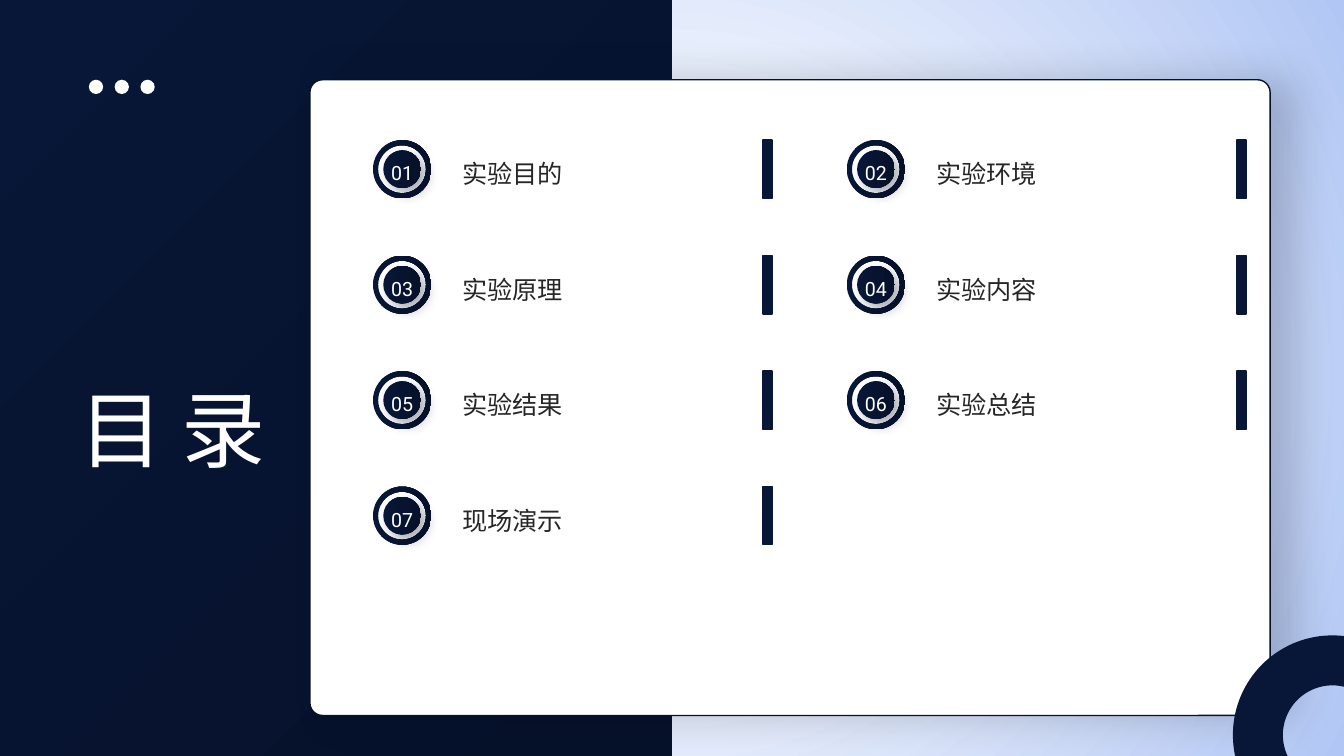
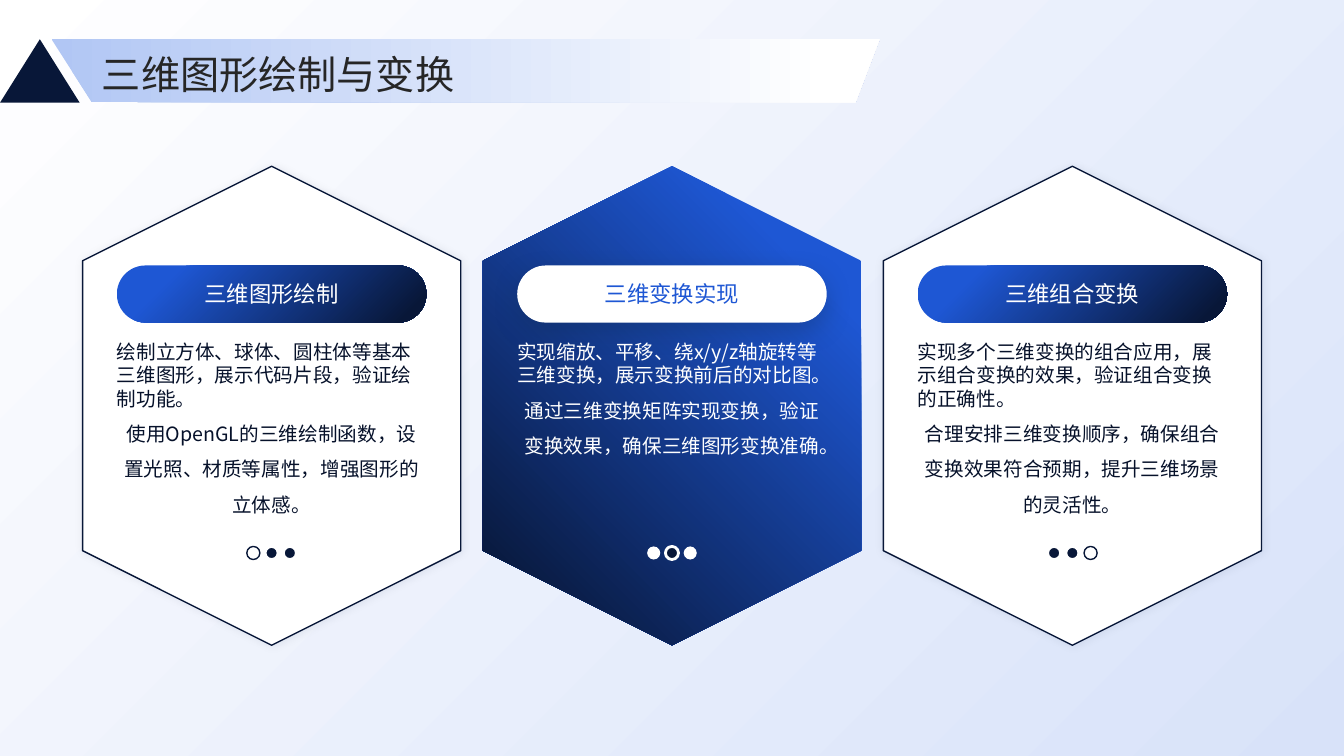
from math import acos, asin, cos, pi, sin

from lxml.etree import SubElement
from pptx import Presentation
from pptx.dml.color import RGBColor
from pptx.enum.shapes import MSO_SHAPE as Preset
from pptx.enum.text import MSO_ANCHOR as Anchor, PP_ALIGN as Align
from pptx.oxml.ns import qn
from pptx.util import Cm, Pt

WIDTH, HEIGHT = 33.87, 19.05
NAVY, INK, BLUE, SKY = "081738", "06112A", "1E57D4", "B1C6F4"
WHITE, CHARCOAL = "FFFFFF", "262626"
CJK, LATIN = "Noto Sans CJK SC", "Roboto"
PAPER = dict(stops=((0, WHITE), (1, "D8E2F9")), angle=45)
GLOW = dict(stops=((0.18, WHITE), (1, SKY)), radial=True)
PANEL = dict(stops=((0, NAVY), (1, INK)), angle=45)
BADGE = dict(stops=((0, NAVY), (1, INK)))
ROYAL = dict(stops=((0.18, BLUE), (0.93, NAVY)), angle=45)
BANNER = dict(stops=((0, SKY), (0.94, WHITE)))


def color(code):
    """Turn a hex string into a colour."""
    return RGBColor.from_string(code)


def write(frame, text, size=14, ink=WHITE, font=CJK, align=Align.CENTER,
          spacing=1.0, anchor=Anchor.MIDDLE):
    """Add one formatted paragraph to a text frame."""
    frame.word_wrap = True
    frame.vertical_anchor = anchor
    frame.margin_left = frame.margin_right = 0
    frame.margin_top = frame.margin_bottom = 0
    paragraph = frame.paragraphs[0] if not frame.text else frame.add_paragraph()
    paragraph.alignment, paragraph.line_spacing = align, spacing
    run = paragraph.add_run()
    run.text = text
    run.font.size, run.font.name = Pt(size), font
    run.font.color.rgb = color(ink)
    SubElement(run.font._element, qn("a:ea"), typeface=CJK)


class Deck:
    """Hold the shared style and the current slide."""

    def __init__(self):
        """Start a widescreen deck."""
        self.show = Presentation()
        self.show.slide_width, self.show.slide_height = Cm(WIDTH), Cm(HEIGHT)

    def new_slide(self):
        """Open a slide with the shared background."""
        self.slide = self.show.slides.add_slide(self.show.slide_layouts[6])
        self.shape(Preset.RECTANGLE, 0, 0, WIDTH, HEIGHT, PAPER)

    def gradient(self, shape, stops, angle=0, radial=False):
        """Fill a shape with a two-stop gradient."""
        shape.fill.gradient()
        for stop, (position, code) in zip(shape.fill.gradient_stops, stops):
            stop.position, stop.color.rgb = position, color(code)
        shape.fill.gradient_angle = -angle % 360
        if radial:
            grad = shape._element.spPr.find(qn("a:gradFill"))
            grad.remove(grad.find(qn("a:lin")))
            circle = SubElement(grad, qn("a:path"), path="circle")
            SubElement(circle, qn("a:fillToRect"),
                       {side: "50000" for side in "ltrb"})

    def paint(self, shape, fill=None, line=None, weight=1, shadow=None):
        """Set fill, outline and shadow."""
        if isinstance(fill, dict):
            self.gradient(shape, **fill)
        elif fill:
            shape.fill.solid()
            shape.fill.fore_color.rgb = color(fill)
        else:
            shape.fill.background()
        if line:
            shape.line.color.rgb, shape.line.width = color(line), Pt(weight)
        else:
            shape.line.fill.background()
        shape.shadow.inherit = False
        if shadow:
            code, alpha, blur, distance, angle = shadow
            effects = shape._element.spPr.find(qn("a:effectLst"))
            outer = SubElement(
                effects, qn("a:outerShdw"), blurRad=str(Pt(blur)),
                dist=str(Pt(distance)), dir=str(angle * 60000), rotWithShape="0")
            tint = SubElement(outer, qn("a:srgbClr"), val=code)
            SubElement(tint, qn("a:alpha"), val=str(alpha * 1000))
        return shape

    def shape(self, preset, x, y, w, h, fill=None, adjust=None, **look):
        """Add a preset shape."""
        shape = self.slide.shapes.add_shape(preset, Cm(x), Cm(y), Cm(w), Cm(h))
        if adjust is not None:
            shape.adjustments[0] = adjust
        return self.paint(shape, fill, **look)

    def outline(self, points, fill):
        """Add a closed freeform."""
        corners = [(Cm(x), Cm(y)) for x, y in points]
        builder = self.slide.shapes.build_freeform(*corners[0])
        builder.add_line_segments(corners[1:])
        return self.paint(builder.convert_to_shape(), fill)

    def text(self, x, y, w, h, text, **style):
        """Add a text box and return its frame."""
        frame = self.slide.shapes.add_textbox(Cm(x), Cm(y), Cm(w), Cm(h)).text_frame
        write(frame, text, **style)
        return frame

    def corner_ring(self, x, y, outer, inner, steps=40):
        """Draw a ring cut off by the right and bottom slide edges."""
        def arc(radius):
            """List the points of one visible arc."""
            first = pi + asin((HEIGHT - y) / radius)
            last = acos((WIDTH - x) / radius)
            angles = [first + (last - first) * i / steps for i in range(steps + 1)]
            return [(x + radius * cos(a), y - radius * sin(a)) for a in angles]
        self.outline(arc(outer) + arc(inner)[::-1], NAVY)

    def agenda_item(self, x, y, number, topic):
        """Add a numbered badge, its topic and the end bar."""
        size = 1.47
        self.shape(Preset.RECTANGLE, x + 9.83, y, 0.23, size, NAVY, line=NAVY)
        self.shape(Preset.DONUT, x, y, size, size, BADGE, adjust=0.09)
        disc = self.shape(Preset.OVAL, x + 0.26, y + 0.26, 0.95, 0.95, BADGE,
                          shadow=(INK, 33, 9, 6, 45))
        write(disc.text_frame, f"{number:02}", font=LATIN, spacing=1.3)
        self.text(x + 2.25, y, 7.24, size, topic, size=18, ink=CHARCOAL,
                  font=LATIN, align=Align.LEFT, spacing=1.3)

    def heading(self, title):
        """Add the title banner."""
        self.shape(Preset.ISOSCELES_TRIANGLE, 0, 0.99, 2.01, 1.6, NAVY)
        self.outline([(2.31, 2.57), (1.3, 0.99), (22.17, 0.99), (21.56, 2.59)],
                     BANNER)
        self.text(2.57, 1.14, 29.26, 1.3, title, size=28, ink=CHARCOAL,
                  align=Align.LEFT, spacing=1.1)

    def hexagon_card(self, center, position, topic, summary, detail, featured):
        """Add a hexagon with a pill title, a body and pager dots."""
        if featured:
            card, pill, pill_ink, body_ink = dict(fill=ROYAL), WHITE, BLUE, WHITE
            pill_shadow = ("0E2841", 28, 19, 6, 90)
            active = dict(fill=NAVY, line=WHITE, weight=2)
            idle = dict(fill=WHITE)
        else:
            card = dict(fill=WHITE, line=NAVY, shadow=(NAVY, 8, 5.6, 0, 0))
            pill, pill_ink, body_ink, pill_shadow = ROYAL, WHITE, INK, None
            active = dict(line=NAVY)
            idle = dict(fill=NAVY, line=WHITE, weight=2)
        long, short, column = 12.07, 9.53, 7.8
        left = center - column / 2
        self.shape(Preset.HEXAGON, center - long / 2, 5.46, long, short,
                   **card).rotation = 90
        label = self.shape(Preset.ROUNDED_RECTANGLE, left, 6.69, column, 1.44,
                           pill, adjust=0.5, shadow=pill_shadow)
        write(label.text_frame, topic, size=16, ink=pill_ink)
        body = self.text(left, 8.56, column, 4.8, summary, ink=body_ink,
                         align=Align.LEFT, anchor=Anchor.TOP)
        write(body, detail, ink=body_ink, spacing=1.5, anchor=Anchor.TOP)
        dot, step = 0.33, 0.46
        for i in range(3):
            self.shape(Preset.OVAL, center + (i - 1) * step - dot / 2, 13.77,
                       dot, dot, **(active if i == position else idle))


def agenda(deck):
    """Build the contents slide."""
    deck.new_slide()
    deck.shape(Preset.RECTANGLE, 0, 0, WIDTH, HEIGHT, GLOW)
    deck.shape(Preset.RECTANGLE, 0, 0, WIDTH / 2, HEIGHT, PANEL)
    deck.shape(Preset.ROUNDED_RECTANGLE, 7.81, 2.01, 24.2, 16.02, WHITE,
               adjust=0.02, line=INK, shadow=("040B1C", 20, 31, 18, 0))
    deck.text(1.27, 8.74, 6.15, 2.74, "目 录", size=60, font=LATIN,
              spacing=1.3, anchor=Anchor.TOP)
    for i in range(3):
        deck.shape(Preset.OVAL, 2.24 + 0.65 * i, 2.01, 0.36, 0.36, WHITE)
    deck.corner_ring(33.58, 18.52, 2.51, 1.25)
    topics = ["实验目的", "实验环境", "实验原理", "实验内容", "实验结果",
              "实验总结", "现场演示"]
    for i, topic in enumerate(topics):
        row, column = divmod(i, 2)
        deck.agenda_item(9.4 + 11.94 * column, 3.53 + 2.91 * row, i + 1, topic)


def transforms(deck):
    """Build the slide on drawing and transforming solids."""
    deck.new_slide()
    cards = [
        ("三维图形绘制",
         "绘制立方体、球体、圆柱体等基本三维图形，展示代码片段，验证绘制功能。",
         "使用OpenGL的三维绘制函数，设置光照、材质等属性，增强图形的立体感。"),
        ("三维变换实现",
         "实现缩放、平移、绕x/y/z轴旋转等三维变换，展示变换前后的对比图。",
         "通过三维变换矩阵实现变换，验证变换效果，确保三维图形变换准确。"),
        ("三维组合变换",
         "实现多个三维变换的组合应用，展示组合变换的效果，验证组合变换的正确性。",
         "合理安排三维变换顺序，确保组合变换效果符合预期，提升三维场景的灵活性。"),
    ]
    for i, card in enumerate(cards):
        deck.hexagon_card(WIDTH / 2 + 10.09 * (i - 1), i, *card, featured=i == 1)
    deck.heading("三维图形绘制与变换")


def main():
    """Build and save the deck."""
    deck = Deck()
    agenda(deck)
    transforms(deck)
    deck.show.save("out.pptx")


if __name__ == "__main__":
    main()
